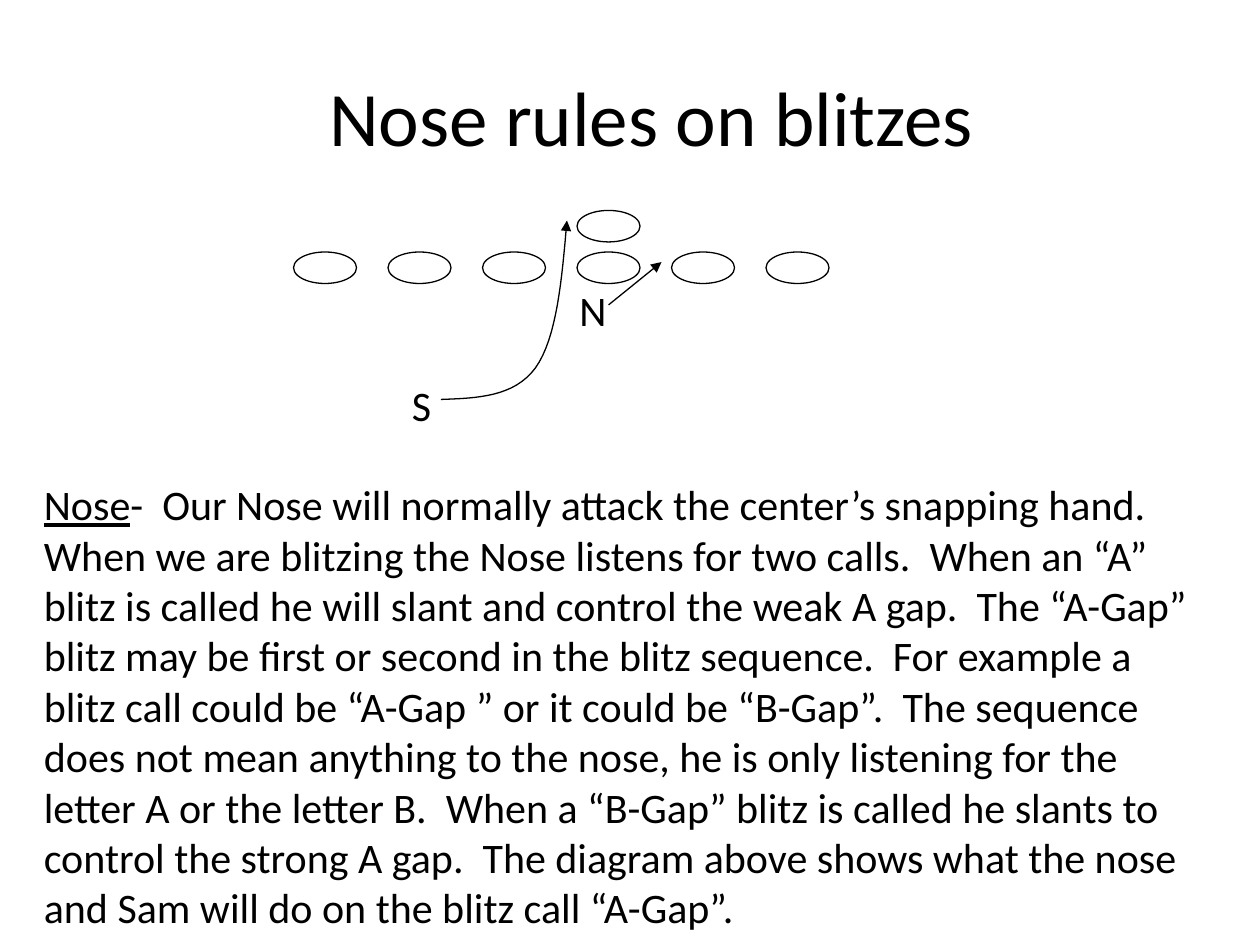
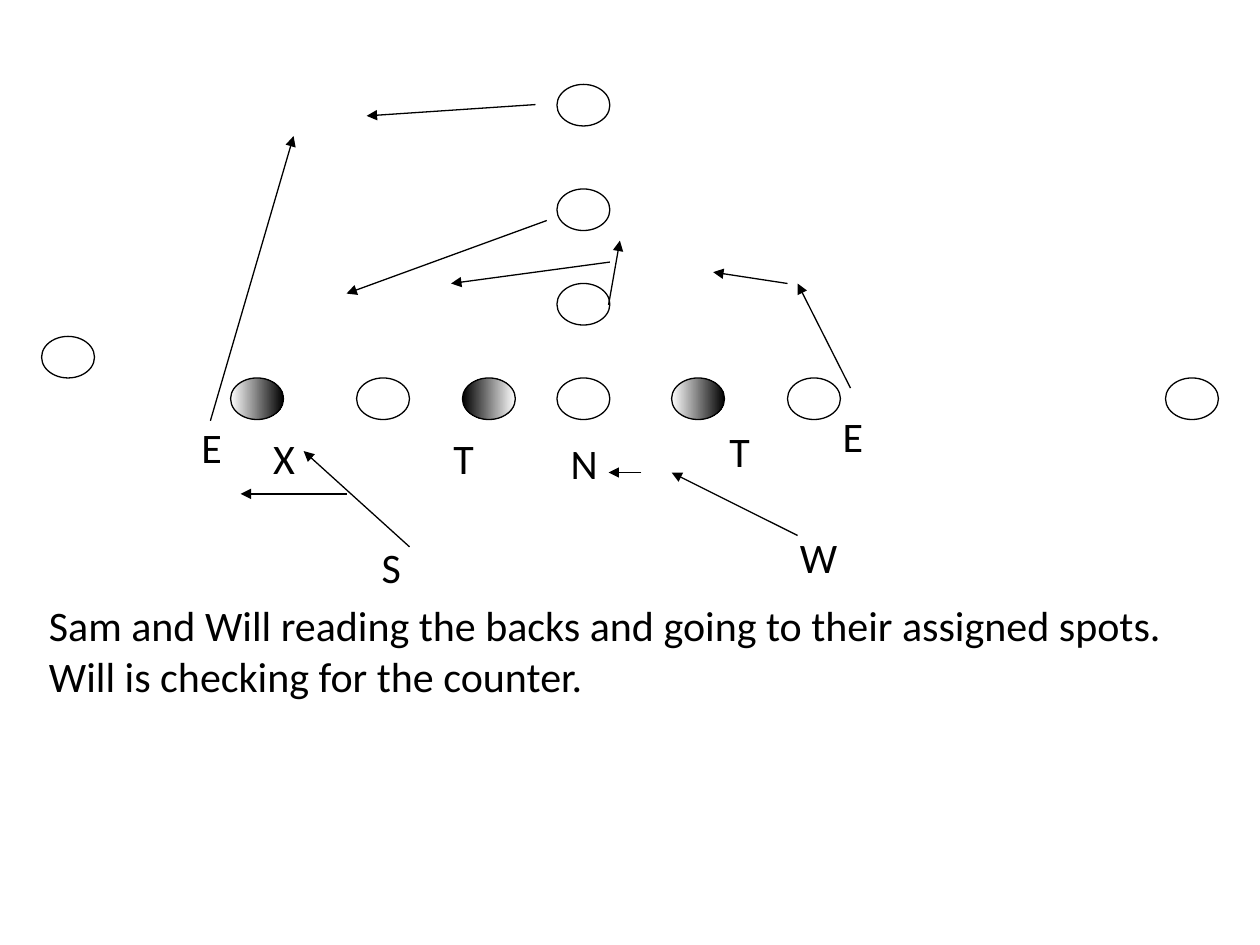
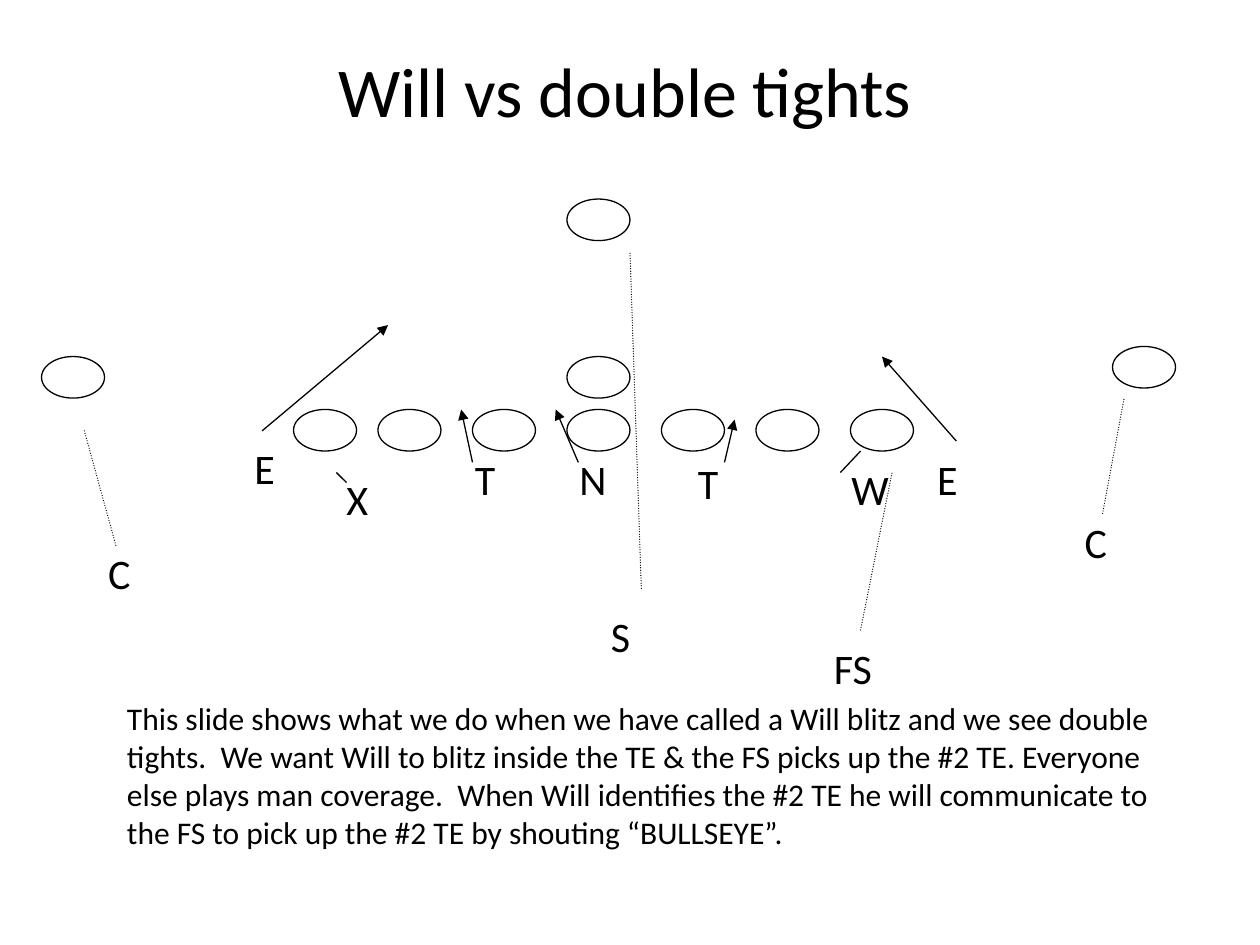
from lxml import etree
from pptx import Presentation
from pptx import util as u
from pptx.dml import color
from pptx.enum import dml, shapes, text
from pptx.oxml import ns

FONT = "Calibri"
BLACK, WHITE = "000000", "FFFFFF"
LINE_WIDTH = 0.75
LETTER_HEIGHT = 0.5
LETTER_WIDTHS = {"C": 0.38, "E": 0.36, "FS": 0.5, "N": 0.41, "S": 0.35, "T": 0.36,
                 "W": 0.5, "X": 0.37}


def rgb(value):
    return color.RGBColor.from_string(value)


def apply(target, values):
    for name, value in values.items():
        setattr(target, name, value)


def add_text(page, left, top, width, height, paragraphs, size=24, wrap=True, grow=True, align=None):
    box = page.shapes.add_textbox(*map(u.Inches, (left, top, width, height)))
    frame = box.text_frame
    fit = text.MSO_AUTO_SIZE.SHAPE_TO_FIT_TEXT if grow else text.MSO_AUTO_SIZE.NONE
    apply(frame, {"word_wrap": wrap, "auto_size": fit})
    for index, runs in enumerate(paragraphs):
        para = frame.paragraphs[0] if index == 0 else frame.add_paragraph()
        para.alignment = align
        for words, underline in runs:
            span = para.add_run()
            span.text = words
            apply(span.font, {"name": FONT, "size": u.Pt(size), "underline": underline})
            span.font.color.rgb = rgb(BLACK)


def plain(*lines):
    return [[(line, None)] for line in lines]


def add_title(page, left, top, width, height, words, size):
    add_text(page, left, top, width, height, plain(words), size,
             grow=False, align=text.PP_ALIGN.CENTER)


def add_letters(page, letters):
    for name, left, top in letters:
        add_text(page, left, top, LETTER_WIDTHS[name], LETTER_HEIGHT, plain(name), wrap=False)


def style_line(shape, arrow=False, dotted=False):
    line = shape.line
    line.color.rgb = rgb(BLACK)
    line.width = u.Pt(LINE_WIDTH)
    properties = shape.element.spPr.find(ns.qn("a:ln"))
    if dotted:
        line.dash_style = dml.MSO_LINE.ROUND_DOT
        properties.set("cap", "rnd")
    if arrow:
        etree.SubElement(properties, ns.qn("a:tailEnd"), type="triangle")


def add_players(page, size, spots, shades=None):
    for left, top in spots:
        player = page.shapes.add_shape(
            shapes.MSO_SHAPE.OVAL, *map(u.Inches, (left, top, *size)))
        player.shadow.inherit = False
        shade = (shades or {}).get((left, top))
        if shade:
            player.fill.gradient()
            player.fill.gradient_angle = 0
            for stop, value in zip(player.fill.gradient_stops, shade):
                stop.color.rgb = rgb(value)
        else:
            player.fill.solid()
            player.fill.fore_color.rgb = rgb(WHITE)
        style_line(player)


def add_lines(page, routes, arrow=False, dotted=False):
    for route in routes:
        line = page.shapes.add_connector(
            shapes.MSO_CONNECTOR.STRAIGHT, *map(u.Inches, route))
        style_line(line, arrow, dotted)
        etree.SubElement(line.element.spPr, ns.qn("a:effectLst"))


def curve_points(start, first, second, end, steps=16):
    for step in range(steps + 1):
        t = step / steps
        weights = ((1 - t) ** 3, 3 * t * (1 - t) ** 2, 3 * t ** 2 * (1 - t), t ** 3)
        yield tuple(u.Inches(sum(w * value for w, value in zip(weights, axis)))
                    for axis in zip(start, first, second, end))


def add_curved_route(page, *curves):
    points = [point for curve in curves for point in curve_points(*curve)]
    builder = page.shapes.build_freeform(*points[0])
    builder.add_line_segments(points[1:], close=False)
    route = builder.convert_to_shape()
    route.shadow.inherit = False
    route.fill.background()
    style_line(route, arrow=True)


def nose_rules(page):
    add_text(page, 0.25, 3.75, 9.37, 3.7, [[
        ("Nose", True),
        ("-  Our Nose will normally attack the center’s snapping hand.  "
         "When we are blitzing the Nose listens for two calls.  When an “A” blitz is called "
         "he will slant and control the weak A gap.  The “A-Gap” blitz may be first or second "
         "in the blitz sequence.  For example a blitz call could be “A-Gap ” or it could be "
         "“B-Gap”.  The sequence does not mean anything to the nose, he is only listening for "
         "the letter A or the letter B.  When a “B-Gap” blitz is called he slants to control "
         "the strong A gap.  The diagram above shows what the nose and Sam will do on the "
         "blitz call “A-Gap”.", None)]])
    add_title(page, 0.92, 0.5, 8.5, 1.17, "Nose rules on blitzes", 44)
    front = [(2.33 + 0.75 * index, 2) for index in range(6)]
    add_players(page, (0.5, 0.25), [(4.58, 1.67)] + front)
    add_letters(page, [("N", 4.5, 2.21), ("S", 3.17, 2.96)])
    add_lines(page, [(4.83, 2.42, 5.25, 2.08)], arrow=True)
    add_curved_route(page,
                     ((3.5, 3.17), (3.79, 3.16), (4.08, 3.15), (4.25, 2.92)),
                     ((4.25, 2.92), (4.42, 2.68), (4.46, 2.22), (4.5, 1.75)))


def reading_backs(page):
    front = [(left, 3) for left in (1.83, 2.83, 3.67, 4.42, 5.33, 6.25)]
    backs = [(4.42, top) for top in (0.67, 1.5, 2.25)]
    wideouts = [(0.33, 2.67), (9.25, 3)]
    shades = {(1.83, 3): (WHITE, BLACK), (3.67, 3): (BLACK, WHITE), (5.33, 3): (WHITE, BLACK)}
    add_players(page, (0.42, 0.33), front + backs + wideouts, shades)
    add_letters(page, [
        ("S", 2.93, 4.25), ("W", 6.25, 4.17), ("E", 6.59, 3.21), ("T", 5.69, 3.33),
        ("N", 4.43, 3.42), ("T", 3.5, 3.38), ("X", 2.07, 3.38), ("E", 1.5, 3.3)])
    add_text(page, 0.29, 4.71, 9.19, 1.3, plain(
        "Sam and Will reading the backs and going to their assigned spots.",
        "Will is checking for the counter."), wrap=False)
    add_lines(page, [
        (6.75, 3.08, 6.33, 2.25), (6.25, 2.25, 5.66, 2.16), (4.84, 2.08, 3.58, 2.25),
        (4.83, 2.42, 4.92, 1.91), (4.34, 1.75, 2.75, 2.33), (4.25, 0.83, 2.91, 0.92),
        (1.67, 3.34, 2.33, 1.08), (5.09, 3.75, 4.83, 3.75), (3.25, 4.34, 2.41, 3.58),
        (2.75, 3.92, 1.91, 3.92), (6.33, 4.25, 5.33, 3.75)], arrow=True)


def double_tights(page):
    add_title(page, 0.25, 0.33, 9.42, 1.25, "Will vs double tights", 40)
    front = [(2.33, 3.25)] + [(3 + 0.75 * index, 3.25) for index in range(6)]
    backs = [(4.5, 2.83), (4.5, 1.58)]
    wideouts = [(0.33, 2.83), (8.83, 2.75)]
    add_players(page, (0.5, 0.33), front + backs + wideouts)
    add_letters(page, [
        ("N", 4.5, 3.55), ("T", 3.67, 3.55), ("E", 1.92, 3.46), ("X", 2.65, 3.71),
        ("T", 5.44, 3.58), ("E", 7.34, 3.55), ("W", 6.66, 3.63), ("C", 0.76, 4.3),
        ("S", 4.75, 4.8), ("C", 8.51, 4.05), ("FS", 6.52, 5.05)])
    add_text(page, 0.91, 5.5, 8.4, 1.3, plain(
        "This slide shows what we do when we have called a Will blitz and we see double",
        "tights.  We want Will to blitz inside the TE & the FS picks up the #2 TE. Everyone",
        "else plays man coverage.  When Will identifies the #2 TE he will communicate to",
        "the FS to pick up the #2 TE by shouting “BULLSEYE”."), size=18, wrap=False)
    add_lines(page, [
        (0.67, 3.42, 0.92, 4.33), (8.92, 3.17, 8.75, 4.08),
        (6.83, 5, 7.08, 3.75), (5.09, 4.67, 5, 2)], dotted=True)
    add_lines(page, [
        (2.08, 3.42, 3.08, 2.58), (3.75, 3.67, 3.66, 3.25), (4.59, 3.67, 4.41, 3.25),
        (5.75, 3.67, 5.83, 3.33), (7.59, 3.5, 7, 2.83)], arrow=True)
    add_lines(page, [(2.67, 3.75, 2.75, 3.83), (6.67, 3.75, 6.83, 3.58)])


def main():
    deck = Presentation()
    apply(deck, {"slide_width": u.Inches(10), "slide_height": u.Inches(7.5)})
    for build in (nose_rules, reading_backs, double_tights):
        build(deck.slides.add_slide(deck.slide_layouts[6]))
    deck.save("out.pptx")


if __name__ == "__main__":
    main()
